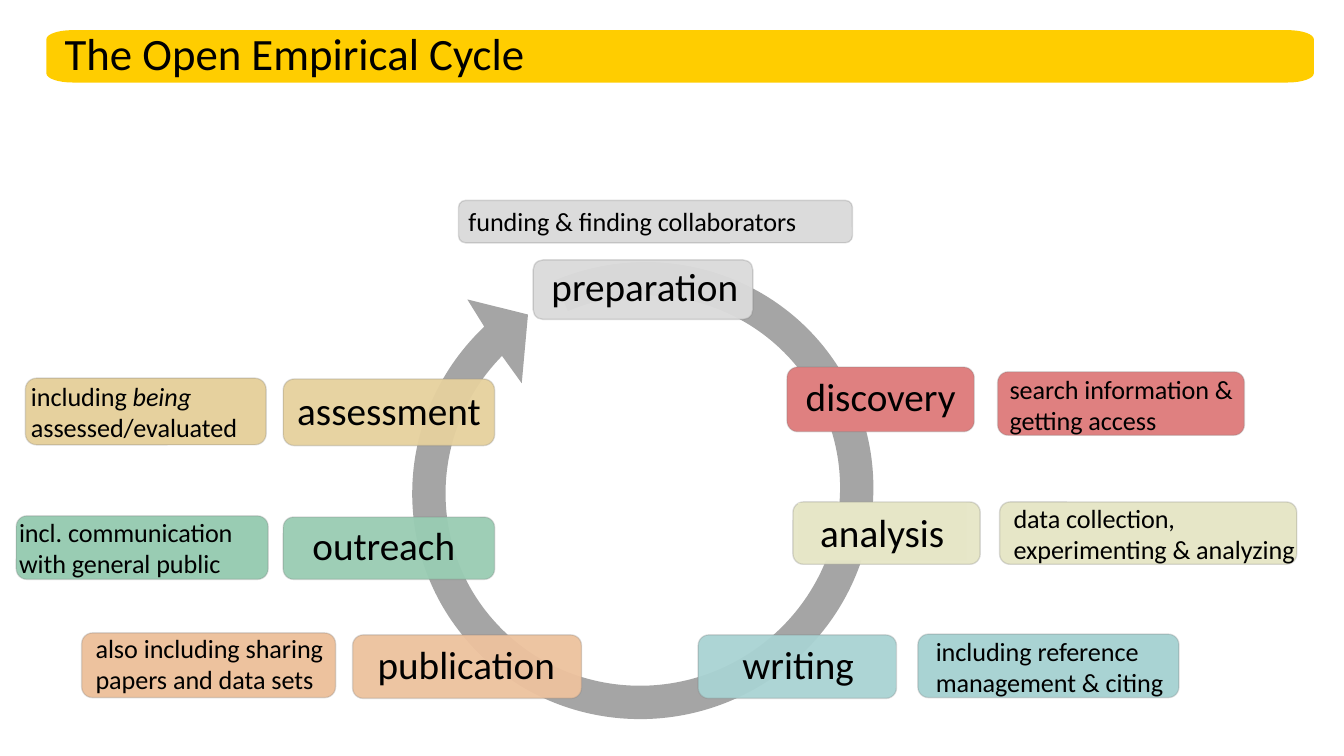
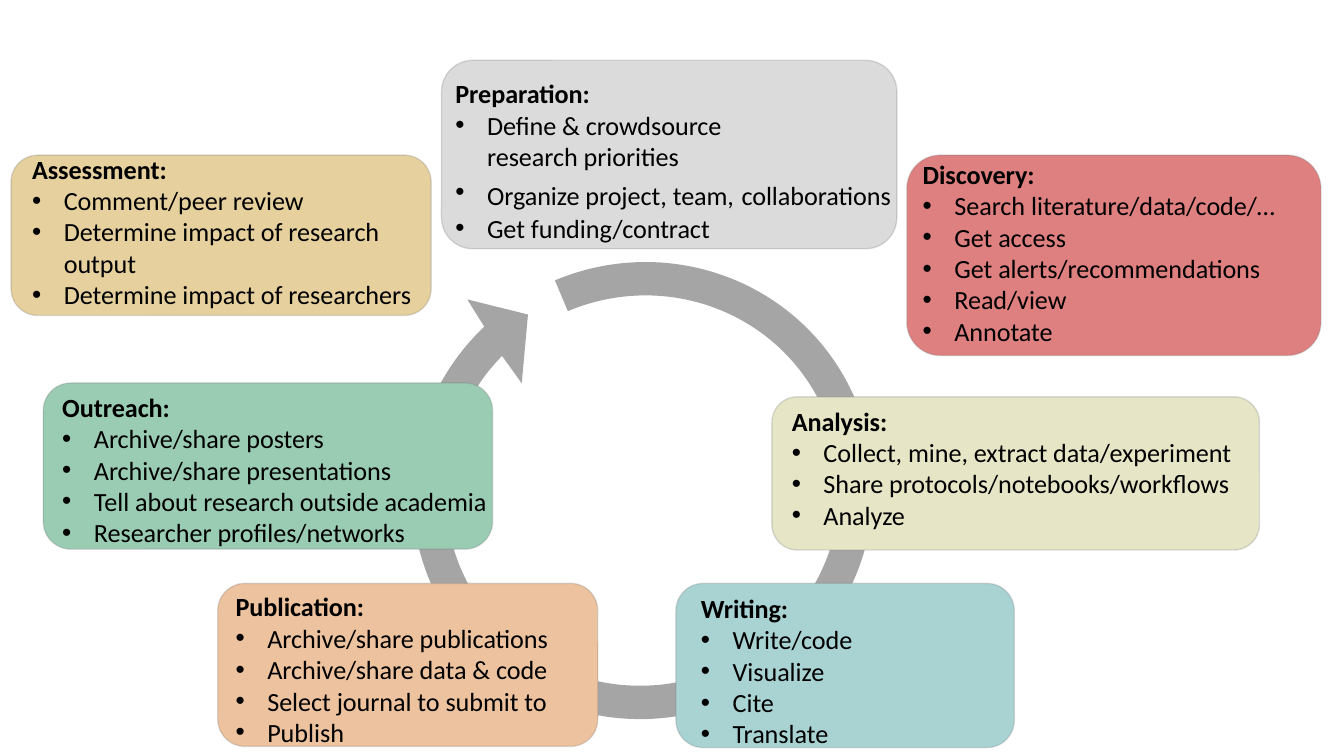
from math import cos, radians, sin, tan

from lxml import etree
from pptx import Presentation
from pptx.dml.color import RGBColor
from pptx.enum.shapes import MSO_SHAPE
from pptx.enum.text import MSO_ANCHOR, PP_ALIGN
from pptx.oxml.ns import qn
from pptx.util import Cm, Pt

ROUND = MSO_SHAPE.ROUNDED_RECTANGLE
MIDDLE = MSO_ANCHOR.MIDDLE
TOP = MSO_ANCHOR.TOP
CENTER = PP_ALIGN.CENTER
LEFT = PP_ALIGN.LEFT

BLACK = RGBColor(0x00, 0x00, 0x00)
EDGE = RGBColor(0x7B, 0x7B, 0x7B)
RING = RGBColor(0xA5, 0xA5, 0xA5)
YELLOW = RGBColor(0xFF, 0xCD, 0x00)
GREY = RGBColor(0xDB, 0xDB, 0xDB)
RED = RGBColor(0xDF, 0x80, 0x80)
OLIVE = RGBColor(0xE6, 0xE6, 0xC7)
TEAL = RGBColor(0xA9, 0xD3, 0xD3)
PEACH = RGBColor(0xED, 0xC2, 0x9E)
GREEN = RGBColor(0x99, 0xCC, 0xB3)
SAND = RGBColor(0xE6, 0xD1, 0x9E)


def arc(x, y, wide, high, start, end, count):
    step = radians(end - start) / count
    pull = 4 / 3 * tan(step / 4)

    def spot(turn, lean=0):
        return (x + wide * (cos(turn) - lean * sin(turn)),
                y + high * (sin(turn) + lean * cos(turn)))

    turns = [radians(start) + step * i for i in range(count + 1)]
    curves = [[spot(a, pull), spot(b, -pull), spot(b)]
              for a, b in zip(turns, turns[1:])]
    return [[spot(turns[0])]] + curves


def fade(fill, share):
    color = fill._xPr.find(qn("a:solidFill"))[0]
    etree.SubElement(color, qn("a:alpha")).set("val", str(share * 1000))


class Deck:
    font = "Calibri"
    body, label_size, title_size = 18.67, 28, 32
    pad = (0.25, 0.13, 0.25, 0.13)

    def __init__(self):
        self.prs = Presentation()
        self.prs.slide_width = Cm(33.88)
        self.prs.slide_height = Cm(19.05)

    def page(self):
        slide = self.prs.slides.add_slide(self.prs.slide_layouts[6])
        self.shapes = slide.shapes

    def run(self, para, text, size, bold=False, italic=False):
        for i, part in enumerate(text.split("\n")):
            if i:
                para.add_line_break()
            run = para.add_run()
            run.text = part
            font = run.font
            font.name, font.size = self.font, Pt(size)
            font.bold, font.italic = bold, italic
            font.color.rgb = BLACK

    def frame(self, shape, pad, anchor):
        frame = shape.text_frame
        frame.word_wrap = True
        frame.vertical_anchor = anchor
        (frame.margin_left, frame.margin_top,
         frame.margin_right, frame.margin_bottom) = map(Cm, pad)
        return frame

    def bullet(self, para):
        props = para._p.get_or_add_pPr()
        props.set("marL", str(Cm(0.8)))
        props.set("indent", str(Cm(-0.8)))
        etree.SubElement(props, qn("a:buFont")).set("typeface", "Arial")
        etree.SubElement(props, qn("a:buChar")).set("char", "•")

    def outline(self, place, moves, fill):
        x, y, wide, high = map(Cm, place)
        pen = self.shapes.build_freeform(x, y, scale=1.0)
        pen.add_line_segments([(x + wide, y), (x + wide, y + high), (x, y + high)])
        shape = pen.convert_to_shape()
        track = next(shape._element.iter(qn("a:path")))
        for old in list(track):
            track.remove(old)
        for i, points in enumerate(moves):
            kind = "cubicBezTo" if len(points) == 3 else "lnTo" if i else "moveTo"
            move = etree.SubElement(track, qn("a:" + kind))
            for px, py in points:
                point = etree.SubElement(move, qn("a:pt"))
                point.set("x", str(Cm(px)))
                point.set("y", str(Cm(py)))
        etree.SubElement(track, qn("a:close"))
        shape.shadow.inherit = False
        shape.fill.solid()
        shape.fill.fore_color.rgb = fill
        shape.line.fill.background()
        return shape

    def cycle(self):
        wide, high = 13.11, 13.28
        x, y = wide / 2, high / 2
        tip = [[(x + dx, y + dy)]
               for dx, dy in [(6.28, -1.82), (5.26, -0.62), (3.78, -1.53)]]
        moves = (arc(x, y, 5.74, 5.83, 3.65, 342.6, 4) + tip
                 + arc(x, y, 4.9, 4.99, 340.45, 3.65, 4))
        shape = self.outline((9.65, 5.72, wide, high), moves, RING)
        shape.rotation = 243.6

    def title(self, text):
        wide, high = 31.95, 1.32
        rx, ry = 0.66, 0.23
        spots = [(rx, ry), (wide - rx, ry), (wide - rx, high - ry), (rx, high - ry)]
        moves = []
        for i, (x, y) in enumerate(spots):
            moves += arc(x, y, rx, ry, 180 + 90 * i, 270 + 90 * i, 1)
        shape = self.outline((1.17, 0.76, wide, high), moves, YELLOW)
        para = self.frame(shape, (0.46, 0.08, 0.46, 0.08), MIDDLE).paragraphs[0]
        para.alignment = LEFT
        para.line_spacing = 0.9
        self.run(para, text, self.title_size)

    def box(self, shapes, place, fill, share=100):
        shape = shapes.add_shape(ROUND, *map(Cm, place))
        shape.shadow.inherit = False
        shape.fill.solid()
        shape.fill.fore_color.rgb = fill
        shape.line.color.rgb = EDGE
        shape.line.width = Pt(1)
        fade(shape.line.fill, 25)
        if share < 100:
            fade(shape.fill, share)

    def label(self, text, place, spot, fill, share=95, solid=False):
        self.box(self.shapes, place, fill, share)
        area = self.shapes.add_textbox(*map(Cm, spot + (1.45,)))
        if solid:
            area.fill.solid()
            area.fill.fore_color.rgb = fill
        para = self.frame(area, self.pad, TOP).paragraphs[0]
        para.alignment = CENTER
        self.run(para, text, self.label_size)

    def note(self, place, spot, fill, lines, head=None):
        shapes = self.shapes if head else self.shapes.add_group_shape().shapes
        self.box(shapes, place, fill)
        area = shapes.add_textbox(*map(Cm, spot))
        frame = self.frame(area, self.pad, TOP)
        para = frame.paragraphs[0]
        if head:
            self.run(para, head, self.body, bold=True)
        for i, line in enumerate(lines):
            if i or head:
                para = frame.add_paragraph()
            if head:
                self.bullet(para)
            for text, style in [(line, {})] if isinstance(line, str) else line:
                self.run(para, text, **{"size": self.body, **style})


LABELS = [
    ("preparation", (13.44, 6.55, 5.54, 1.5), (13.59, 6.48, 5.33), GREY),
    ("discovery", (19.84, 9.25, 4.72, 1.63), (19.94, 9.25, 4.52), RED, 100),
    ("analysis", (19.99, 12.65, 4.72, 1.57), (20.12, 12.67, 4.24), OLIVE, 95, True),
    ("writing", (17.6, 16, 5, 1.6), (17.81, 16, 4.62), TEAL),
    ("publication", (8.89, 16, 5.77, 1.6), (9.09, 16, 5.33), PEACH),
    ("outreach", (7.14, 13.03, 5.33, 1.57), (7.01, 13, 5.33), GREEN),
    ("assessment", (7.14, 9.55, 5.33, 1.68), (7.14, 9.6, 5.33), SAND),
]

NOTES = [
    ((11.56, 5.05, 9.93, 1.07), (11.56, 5.05, 10.13, 1.02), GREY,
     ["funding & finding collaborators"]),
    ((25.15, 9.37, 6.22, 1.6), (25.2, 9.27, 6.45, 1.8), RED,
     ["search information &", "getting access"]),
    ((25.2, 12.65, 7.49, 1.57), (25.3, 12.52, 8.58, 1.8), OLIVE,
     ["data collection,", "experimenting & analyzing"]),
    ((23.14, 15.98, 6.58, 1.6), (23.34, 15.88, 7.52, 1.8), TEAL,
     ["including reference management & citing"]),
    ((2.06, 15.95, 6.4, 1.63), (2.16, 15.8, 6.4, 1.8), PEACH,
     ["also including sharing", "papers and data sets"]),
    ((0.41, 13, 6.35, 1.6), (0.23, 12.88, 6.5, 1.8), GREEN,
     ["incl. communication", "with general public"]),
    ((0.64, 9.53, 6.07, 1.68), (0.53, 9.45, 6.07, 1.8), SAND,
     [[("including ", {}), ("being", {"italic": True})], "assessed/evaluated"]),
]

CARDS = [
    ((11.13, 1.52, 11.48, 4.75), (11.23, 1.83, 11.79, 4.88), GREY,
     ["Define & crowdsource \nresearch priorities",
      [("Organize project, team,", {}), (" ", {"size": 24}), ("collaborations", {})],
      "Get funding/contract"], "Preparation:"),
    ((22.86, 3.91, 10.44, 5.05), (23.01, 3.86, 10.59, 5.11), RED,
     ["Search literature/data/code/…", "Get access",
      "Get alerts/recommendations", "Read/view", "Annotate"], "Discovery:"),
    ((19.46, 10, 12.29, 3.86), (19.71, 10.08, 12.22, 4.14), OLIVE,
     ["Collect, mine, extract data/experiment",
      "Share protocols/notebooks/workflows", "Analyze"], "Analysis:"),
    ((17.04, 14.7, 8.53, 4.14), (17.42, 14.8, 7.52, 4.11), TEAL,
     ["Write/code", "Visualize", "Cite", "Translate"], "Writing:"),
    ((5.49, 14.7, 9.58, 4.11), (5.69, 14.76, 9.17, 4.11), PEACH,
     ["Archive/share publications", "Archive/share data & code",
      "Select journal to submit to", "Publish"], "Publication:"),
    ((1.09, 9.65, 11.33, 4.19), (1.32, 9.73, 11.79, 4.14), GREEN,
     ["Archive/share posters", "Archive/share presentations",
      "Tell about research outside academia",
      "Researcher profiles/networks"], "Outreach:"),
    ((0.28, 3.91, 10.59, 4.04), (0.56, 3.73, 10.44, 4.11), SAND,
     ["Comment/peer review", "Determine impact of research output",
      "Determine impact of researchers"], "Assessment:"),
]


def main():
    deck = Deck()
    deck.page()
    deck.cycle()
    for item in LABELS:
        deck.label(*item)
    for item in NOTES:
        deck.note(*item)
    deck.title("The Open Empirical Cycle")

    deck.page()
    deck.cycle()
    for item in CARDS:
        deck.note(*item)
    deck.prs.save("out.pptx")


if __name__ == "__main__":
    main()
